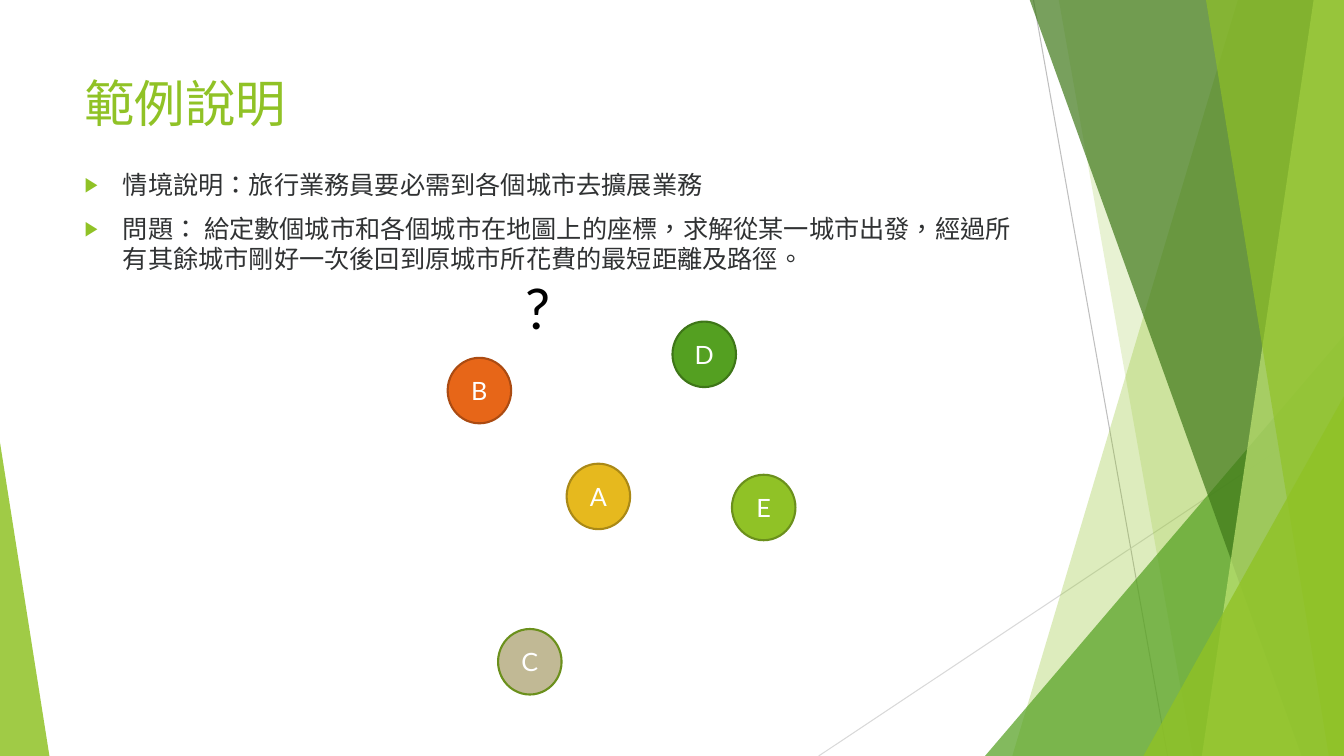
from lxml import etree
from pptx import Presentation
from pptx.dml.color import RGBColor
from pptx.enum.shapes import MSO_CONNECTOR as Connector, MSO_SHAPE as Shape
from pptx.enum.text import MSO_ANCHOR as Anchor, MSO_AUTO_SIZE as AutoSize, PP_ALIGN as Align
from pptx.oxml.ns import qn
from pptx.util import Inches, Pt

WIDTH, HEIGHT = 13.33, 7.5
FONT = "Lato"
COLORS = {
    "lime": "90C226", "lime_edge": "6B901C", "pale_lime": "C0E474",
    "green": "54A021", "green_edge": "3E7618", "forest": "3F7819",
    "orange": "E76618", "orange_edge": "AB4B12",
    "gold": "E6B91E", "gold_edge": "AA8916", "sand": "C1B995",
    "text": "303233", "black": "000000", "white": "FFFFFF",
    "gray": "BFBFBF", "light_gray": "D9D9D9",
}

TITLE = "範例說明"
POINTS = [
    "情境說明：旅行業務員要必需到各個城市去擴展業務",
    "問題： 給定數個城市和各個城市在地圖上的座標，求解從某一城市出發，"
    "經過所有其餘城市剛好一次後回到原城市所花費的最短距離及路徑。",
]
CITY_SIZE = (0.63, 0.65)
CITIES = [  # name, left, top, fill, edge
    ("B", 4.44, 3.55, "orange", "orange_edge"),
    ("D", 6.67, 3.19, "green", "green_edge"),
    ("C", 4.94, 6.24, "sand", "lime_edge"),
    ("E", 7.26, 4.71, "lime", "lime_edge"),
    ("A", 5.62, 4.6, "gold", "gold_edge"),
]
THIN_LINES = [  # start, end, color
    ((10.25, 0), (11.58, HEIGHT), "gray"),
    ((WIDTH, 4.03), (8.12, HEIGHT), "light_gray"),
]
# Bands reach the right edge: ("band", top x, bottom x, color, opacity)
# Triangles stand on the bottom edge: ("triangle", left, top, width, apex, color, opacity)
FACETS = [
    ("band", 12.28, 10.04, "lime", 30),
    ("band", 10.5, 11.83, "lime", 20),
    ("triangle", 9.77, 3.33, 3.56, 1, "green", 72),
    ("band", 10.21, 12.91, "forest", 70),
    ("band", 13.03, 11.92, "pale_lime", 70),
    ("band", 11.96, 13.18, "lime", 65),
    ("triangle", 11.34, 3.93, 1.99, 1, "lime", 80),
    ("triangle", 0, 4.39, 0.49, 0, "lime", 85),
]


def rgb(name):
    return RGBColor.from_string(COLORS[name])


def paint(shape, color, opacity=100, edge=None):
    shape.shadow.inherit = False
    shape.fill.solid()
    shape.fill.fore_color.rgb = rgb(color)
    if opacity < 100:
        solid = shape.fill._xPr.find(qn("a:solidFill"))
        etree.SubElement(solid[0], qn("a:alpha"), val=str(opacity * 1000))
    if edge:
        shape.line.color.rgb = rgb(edge)
        shape.line.width = Pt(1.5)
    else:
        shape.line.fill.background()


def add_bullet(paragraph):
    properties = paragraph._p.get_or_add_pPr()
    properties.set("marL", str(Inches(0.38)))
    properties.set("indent", str(-Inches(0.38)))
    color = etree.SubElement(properties, qn("a:buClr"))
    etree.SubElement(color, qn("a:srgbClr"), val=COLORS["lime"])
    etree.SubElement(properties, qn("a:buSzPct"), val="80000")
    etree.SubElement(properties, qn("a:buFont"), typeface="Arial")
    etree.SubElement(properties, qn("a:buChar"), char="▶")


def write(shape, lines, size=18, color="text", align=Align.LEFT, anchor=Anchor.TOP,
          wrap=True, bullets=False, gap=0):
    frame = shape.text_frame
    frame.word_wrap = wrap
    frame.vertical_anchor = anchor
    for index, line in enumerate(lines):
        paragraph = frame.add_paragraph() if index else frame.paragraphs[0]
        if bullets:
            add_bullet(paragraph)
        paragraph.alignment = align
        paragraph.space_before = Pt(gap if index else 0)
        run = paragraph.add_run()
        run.text = line
        run.font.name = FONT
        run.font.size = Pt(size)
        run.font.color.rgb = rgb(color)
        run._r.get_or_add_rPr().set("lang", "zh-TW")


def add_text(slide, box, lines, **style):
    shape = slide.shapes.add_textbox(*map(Inches, box))
    write(shape, lines, **style)
    return shape


def add_thin_line(slide, start, end, color):
    line = slide.shapes.add_connector(Connector.STRAIGHT, *map(Inches, start + end))
    line.line.color.rgb = rgb(color)
    line.line.width = Pt(0.75)
    etree.SubElement(line._element.spPr, qn("a:effectLst"))


def add_band(slide, top_x, bottom_x, color, opacity):
    corners = [(top_x, -0.01), (WIDTH, -0.01), (WIDTH, HEIGHT), (bottom_x, HEIGHT)]
    points = [(Inches(x), Inches(y)) for x, y in corners]
    builder = slide.shapes.build_freeform(*points[0])
    builder.add_line_segments(points[1:], close=True)
    paint(builder.convert_to_shape(), color, opacity)


def add_triangle(slide, left, top, width, apex, color, opacity):
    box = map(Inches, (left, top, width, HEIGHT - top))
    shape = slide.shapes.add_shape(Shape.ISOSCELES_TRIANGLE, *box)
    shape.adjustments[0] = apex
    paint(shape, color, opacity)


def add_city(slide, name, left, top, fill, edge):
    box = map(Inches, (left, top, *CITY_SIZE))
    shape = slide.shapes.add_shape(Shape.FLOWCHART_CONNECTOR, *box)
    paint(shape, fill, edge=edge)
    write(shape, [name], color="white", align=Align.CENTER, anchor=Anchor.MIDDLE)


def main():
    presentation = Presentation()
    presentation.slide_width = Inches(WIDTH)
    presentation.slide_height = Inches(HEIGHT)
    slide = presentation.slides.add_slide(presentation.slide_layouts[6])

    for line in THIN_LINES:
        add_thin_line(slide, *line)
    adders = {"band": add_band, "triangle": add_triangle}
    for kind, *facet in FACETS:
        adders[kind](slide, *facet)

    add_text(slide, (0.74, 0.67, 9.4, 1.44), [TITLE], size=36, color="lime")
    add_text(slide, (0.74, 1.63, 9.4, 4.24), POINTS, bullets=True, gap=10)
    for city in CITIES:
        add_city(slide, *city)
    question = add_text(slide, (5.11, 2.66, 0.41, 0.77), ["?"], size=40, color="black", wrap=False)
    question.text_frame.auto_size = AutoSize.SHAPE_TO_FIT_TEXT

    presentation.save("out.pptx")


if __name__ == "__main__":
    main()
